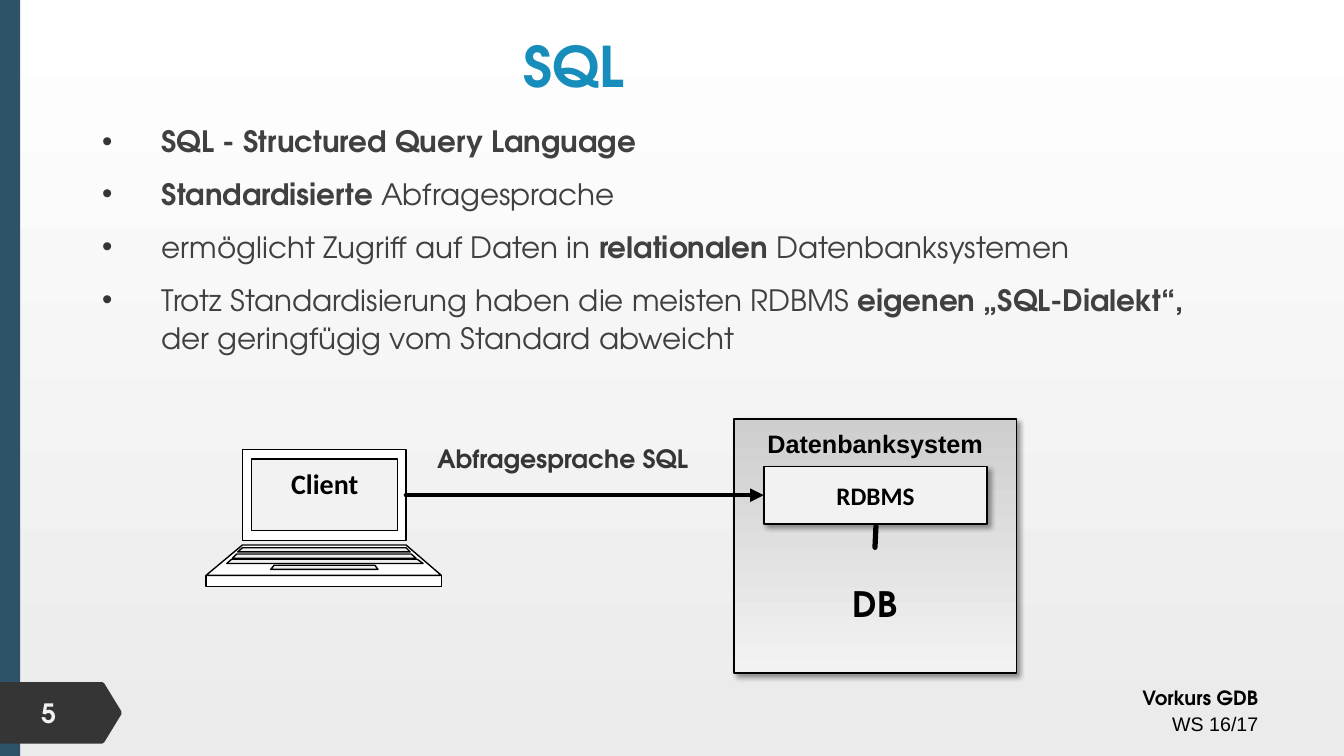
"""Builds a slide that introduces SQL with a client and database diagram."""
from dataclasses import dataclass

from lxml.etree import SubElement
from pptx import Presentation
from pptx.dml.color import RGBColor
from pptx.enum.shapes import MSO_CONNECTOR as Connector, MSO_SHAPE as Preset
from pptx.enum.text import MSO_ANCHOR as Anchor, MSO_AUTO_SIZE as AutoSize, PP_ALIGN as Align
from pptx.oxml.ns import qn
from pptx.util import Pt

ADVENTOR = "TeX Gyre Adventor"
BLACK, WHITE, DARK, LIGHT = "000000", "FFFFFF", "353535", "F2F2F2"
INDENT = 42.5


@dataclass(frozen=True)
class Box:
    left: float
    top: float
    width: float
    height: float

    def lengths(self):
        return [Pt(value) for value in (self.left, self.top, self.width, self.height)]


@dataclass(frozen=True)
class Trapezoid:
    top: float
    bottom: float
    top_left: float
    top_right: float
    bottom_left: float
    bottom_right: float

    def points(self):
        return [(self.top_left, self.top), (self.top_right, self.top),
                (self.bottom_right, self.bottom), (self.bottom_left, self.bottom)]


@dataclass(frozen=True)
class Label:
    text: str
    box: Box
    size: float
    color: str = BLACK
    font: str = ADVENTOR
    align: Align = Align.CENTER


@dataclass(frozen=True)
class Line:
    start: tuple[float, float]
    end: tuple[float, float]
    width: float
    arrow: bool = False


LAPTOP = [
    Trapezoid(321, 386, 173.2, 290, 173.2, 290),
    Trapezoid(389.3, 411, 173.2, 290, 147.2, 315.2),
    Trapezoid(411, 418.8, 147.2, 315.2, 147.2, 315.2),
    Trapezoid(328, 378.8, 179.8, 283.8, 179.8, 283.8),
    Trapezoid(391.3, 394.3, 173.2, 290, 169.8, 293),
    Trapezoid(403.8, 406.8, 195.8, 267.8, 193.4, 270),
    Trapezoid(395.8, 398.8, 169, 293.8, 166, 297.2),
    Trapezoid(399.5, 402.5, 165.4, 298, 162, 302.2),
]
NUMBER_TAG = [(0, 487.2), (73, 487.2), (74.5, 488.2), (86.7, 508.2),
              (86.7, 510.2), (74.5, 530.2), (73, 531.2), (0, 531.2)]
LABELS = [
    Label("5", Box(22.5, 494, 50, 30), 19, LIGHT, align=Align.LEFT),
    Label("Client", Box(180, 326.6, 104, 37), 20, font="Calibri"),
    Label("DB", Box(590.5, 412.5, 69, 37.5), 25),
    Label("Abfragesprache SQL", Box(300.3, 313.2, 203, 29), 18, DARK),
]
LINES = [
    Line((625.7, 376), (625, 391), 3.75),
    Line((290, 353.7), (545.5, 353.7), 3.25, arrow=True),
]
BULLETS = [
    [("SQL - Structured Query Language", True)],
    [("Standardisierte ", True), ("Abfragesprache", False)],
    [("ermöglicht Zugriff auf Daten in ", False), ("relationalen ", True),
     ("Datenbanksystemen", False)],
    [("Trotz Standardisierung haben die meisten RDBMS ", False),
     ("eigenen „SQL-Dialekt“, ", True), ("der geringfügig vom Standard abweicht", False)],
]


def paint(target, color: str):
    if hasattr(target, "solid"):
        target.solid()
        target = target.fore_color
    target.rgb = RGBColor.from_string(color)


def paint_gradient(fill, first: str, last: str):
    fill.gradient()
    fill.gradient_angle = 270
    for position, (stop, color) in enumerate(zip(fill.gradient_stops, (first, last))):
        stop.position = position
        paint(stop.color, color)


def add_text(paragraph, text: str, *, size: float, color: str = BLACK,
             font: str = ADVENTOR, bold: bool = True, align: Align = Align.CENTER):
    paragraph.alignment = align
    run = paragraph.add_run()
    run.text = text
    run.font.size, run.font.name, run.font.bold = Pt(size), font, bold
    paint(run.font.color, color)


def prepare_frame(shape, anchor: Anchor = Anchor.MIDDLE):
    frame = shape.text_frame
    frame.word_wrap, frame.auto_size, frame.vertical_anchor = True, AutoSize.NONE, anchor
    return frame


def place(shape, box: Box):
    shape.left, shape.top, shape.width, shape.height = box.lengths()


def style_shape(shape, fill: str, outline: float = 0):
    shape.shadow.inherit = False
    paint(shape.fill, fill)
    if outline:
        paint(shape.line.fill, BLACK)
        shape.line.width = Pt(outline)
    else:
        shape.line.fill.background()


def add_polygons(slide, polygons: list, fill: str, outline: float = 0):
    first, *others = [[(Pt(x), Pt(y)) for x, y in points] for points in polygons]
    builder = slide.shapes.build_freeform(*first[0])
    builder.add_line_segments(first[1:], close=True)
    for points in others:
        builder.move_to(*points[0])
        builder.add_line_segments(points[1:], close=True)
    shape = builder.convert_to_shape()
    style_shape(shape, fill, outline)
    outlines = shape._element.spPr.find(qn("a:custGeom")).find(qn("a:pathLst"))
    contour = outlines[0]
    for step in list(contour):
        if step.tag == qn("a:moveTo") and step is not outlines[0][0]:
            contour = SubElement(outlines, qn("a:path"), dict(outlines[0].attrib))
        contour.append(step)


def add_rectangle(slide, box: Box, fill: str, outline: float = 0):
    shape = slide.shapes.add_shape(Preset.RECTANGLE, *box.lengths())
    style_shape(shape, fill, outline)
    return shape


def add_shadow(shape):
    effects = shape._element.spPr.find(qn("a:effectLst"))
    shadow = SubElement(effects, qn("a:outerShdw"), blurRad=str(Pt(4)), dist=str(Pt(3)),
                        dir="2700000", algn="tl", rotWithShape="0")
    color = SubElement(shadow, qn("a:srgbClr"), val=BLACK)
    SubElement(color, qn("a:alpha"), val="40000")


def add_label(slide, label: Label):
    frame = prepare_frame(slide.shapes.add_textbox(*label.box.lengths()))
    add_text(frame.paragraphs[0], label.text, size=label.size, color=label.color,
             font=label.font, align=label.align)


def add_line(slide, line: Line):
    ends = [Pt(value) for value in line.start + line.end]
    connector = slide.shapes.add_connector(Connector.STRAIGHT, *ends)
    paint(connector.line.fill, BLACK)
    connector.line.width = Pt(line.width)
    stroke = connector.line._get_or_add_ln()
    stroke.set("cap", "rnd")
    SubElement(stroke, qn("a:round"))
    if line.arrow:
        SubElement(stroke, qn("a:tailEnd"), type="triangle")
    SubElement(connector._element.spPr, qn("a:effectLst"))


def add_bullet(paragraph, spans: list, first: bool):
    properties = paragraph._p.get_or_add_pPr()
    properties.set("marL", str(Pt(INDENT)))
    properties.set("indent", str(-Pt(INDENT)))
    SubElement(SubElement(properties, qn("a:buClr")), qn("a:srgbClr"), val=DARK)
    SubElement(properties, qn("a:buFont"), typeface="Arial")
    SubElement(properties, qn("a:buChar"), char="•")
    paragraph.line_spacing, paragraph.space_before = 1.1, Pt(0 if first else 10)
    for text, bold in spans:
        add_text(paragraph, text, size=21, color="404040", bold=bold, align=Align.LEFT)


def main():
    presentation = Presentation()
    presentation.slide_width, presentation.slide_height = Pt(960), Pt(540)
    slide = presentation.slides.add_slide(presentation.slide_layouts[1])
    paint_gradient(slide.background.fill, WHITE, "EBEBEB")
    title, body = slide.placeholders
    place(title, Box(86.7, 17.5, 646, 58))
    add_text(prepare_frame(title).paragraphs[0], "SQL", size=40, color="178DBB")
    place(body, Box(65.7, 82, 806, 178.5))
    frame = prepare_frame(body, Anchor.TOP)
    for index, spans in enumerate(BULLETS):
        add_bullet(frame.add_paragraph() if index else frame.paragraphs[0], spans, not index)

    add_rectangle(slide, Box(0, 0, 14.5, 540), "2E5369")
    add_polygons(slide, [NUMBER_TAG], DARK)
    footer = prepare_frame(slide.shapes.add_textbox(*Box(531.5, 483.7, 374.5, 46).lengths()),
                           Anchor.TOP)
    for paragraph, text, font, bold in ((footer.paragraphs[0], "Vorkurs GDB", ADVENTOR, True),
                                        (footer.add_paragraph(), "WS 16/17", "Arial", False)):
        paragraph.line_spacing = 1.14
        add_text(paragraph, text, size=14, font=font, bold=bold, align=Align.RIGHT)

    add_polygons(slide, [part.points() for part in LAPTOP], WHITE, 1)
    database = add_rectangle(slide, Box(524.3, 299.3, 201.7, 181.4), LIGHT, 1)
    paint_gradient(database.fill, "CECECE", LIGHT)
    frame = prepare_frame(database, Anchor.TOP)
    frame.margin_top = Pt(6.5)
    add_text(frame.paragraphs[0], "Datenbanksystem", size=18, font="Arial")
    engine = add_rectangle(slide, Box(545.5, 333.3, 159.7, 41), LIGHT, 1.25)
    add_text(prepare_frame(engine).paragraphs[0], "RDBMS", size=18, font="Calibri")
    for shape in (database, engine):
        add_shadow(shape)
    for line in LINES:
        add_line(slide, line)
    for label in LABELS:
        add_label(slide, label)
    presentation.save("out.pptx")


if __name__ == "__main__":
    main()
